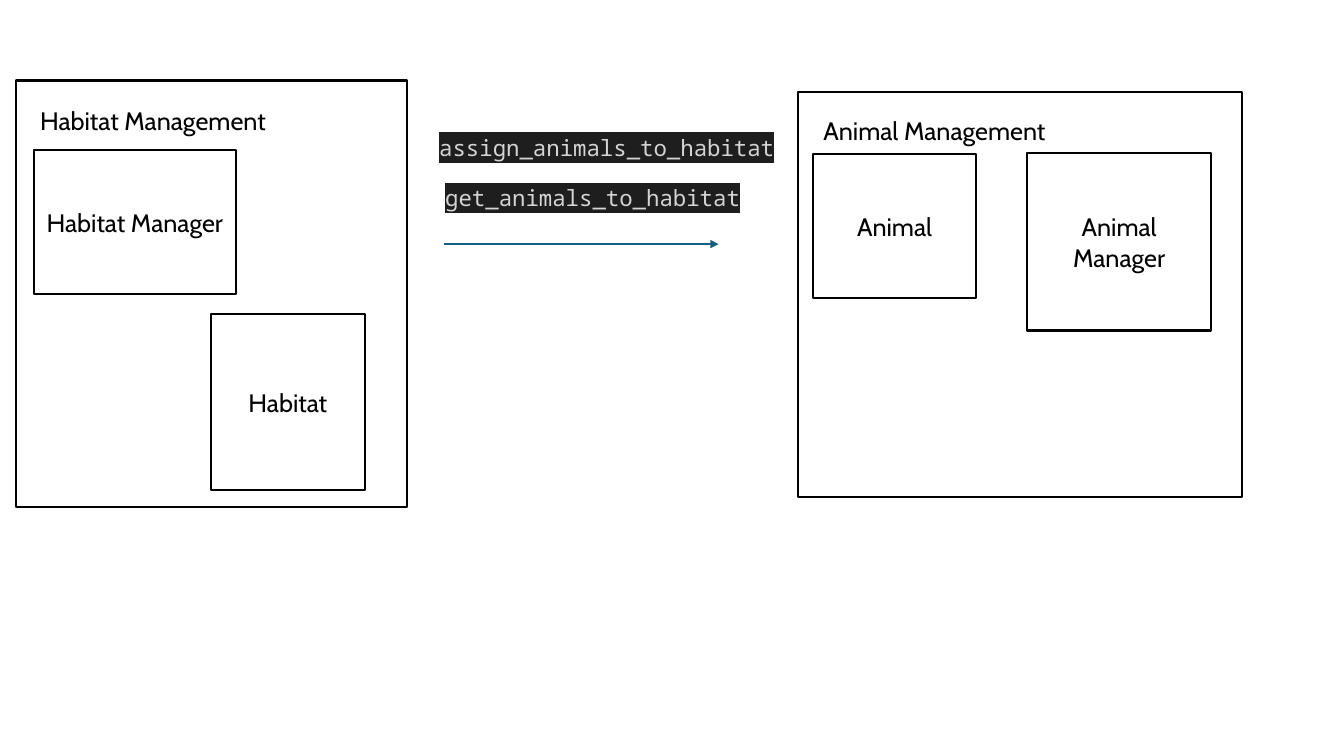
"""Build a slide showing how habitat management calls animal management."""
from lxml import etree
from pptx import Presentation
from pptx.dml.color import RGBColor
from pptx.enum import shapes, text
from pptx.oxml import ns
from pptx.util import Cm, Pt

COLORS = {"ink": "000000", "arrow": "156082", "code": "D4D4D4", "code_back": "1E1E1E"}


def add_span(box, wording, font, size, color):
    para = box.text_frame.paragraphs[0]
    span = para.add_run()
    span.text = wording
    span.font.name = font
    span.font.size = Pt(size)
    span.font.color.rgb = RGBColor.from_string(COLORS[color])
    return span


def add_label(page, left, top, width, height):
    box = page.shapes.add_textbox(Cm(left), Cm(top), Cm(width), Cm(height))
    box.text_frame.word_wrap = True
    return box


deck = Presentation()
deck.slide_width, deck.slide_height = Cm(33.87), Cm(19.05)
page = deck.slides.add_slide(deck.slide_layouts[6])

boxes = [
    ("Habitat", 5.31, 7.92, 3.89, 4.42),
    ("", 0.41, 2.03, 9.86, 10.74),
    ("", 20.12, 2.31, 11.18, 10.21),
    ("Animal", 20.5, 3.89, 4.09, 3.63),
    ("Animal Manager", 25.88, 3.86, 4.65, 4.47),
    ("Habitat Manager", 0.86, 3.78, 5.08, 3.63),
]
for name, left, top, width, height in boxes:
    box = page.shapes.add_shape(
        shapes.MSO_SHAPE.RECTANGLE, Cm(left), Cm(top), Cm(width), Cm(height))
    box.shadow.inherit = False
    box.fill.background()
    box.line.color.rgb = RGBColor.from_string(COLORS["ink"])
    box.line.width = Pt(1.5)
    if name:
        box.text_frame.word_wrap = True
        box.text_frame.vertical_anchor = text.MSO_ANCHOR.MIDDLE
        box.text_frame.paragraphs[0].alignment = text.PP_ALIGN.CENTER
        add_span(box, name, "Cabin", 18, "ink")

for heading, left, top in [("Habitat Management", 0.76, 2.54),
                           ("Animal Management", 20.5, 2.79)]:
    box = add_label(page, left, top, 8, 1.02)
    add_span(box, heading, "Cabin", 18, "ink")

arrow = page.shapes.add_connector(
    shapes.MSO_CONNECTOR.STRAIGHT, Cm(11.2), Cm(6.15), Cm(18.11), Cm(6.15))
arrow.line.color.rgb = RGBColor.from_string(COLORS["arrow"])
arrow.line.width = Pt(1.5)
arrow_properties = arrow._element.spPr
etree.SubElement(arrow_properties.find(ns.qn("a:ln")), ns.qn("a:tailEnd"), type="triangle")
etree.SubElement(arrow_properties, ns.qn("a:effectLst"))

for call, left, top in [("assign_animals_to_habitat", 10.82, 3.25),
                        ("get_animals_to_habitat", 10.97, 4.52)]:
    box = add_label(page, left, top, 16.94, 0.94)
    span = add_span(box, call, "Noto Sans Mono", 16, "code")
    highlight = etree.Element(ns.qn("a:highlight"))
    etree.SubElement(highlight, ns.qn("a:srgbClr"), val=COLORS["code_back"])
    span.font._element.find(ns.qn("a:solidFill")).addnext(highlight)

deck.save("out.pptx")
